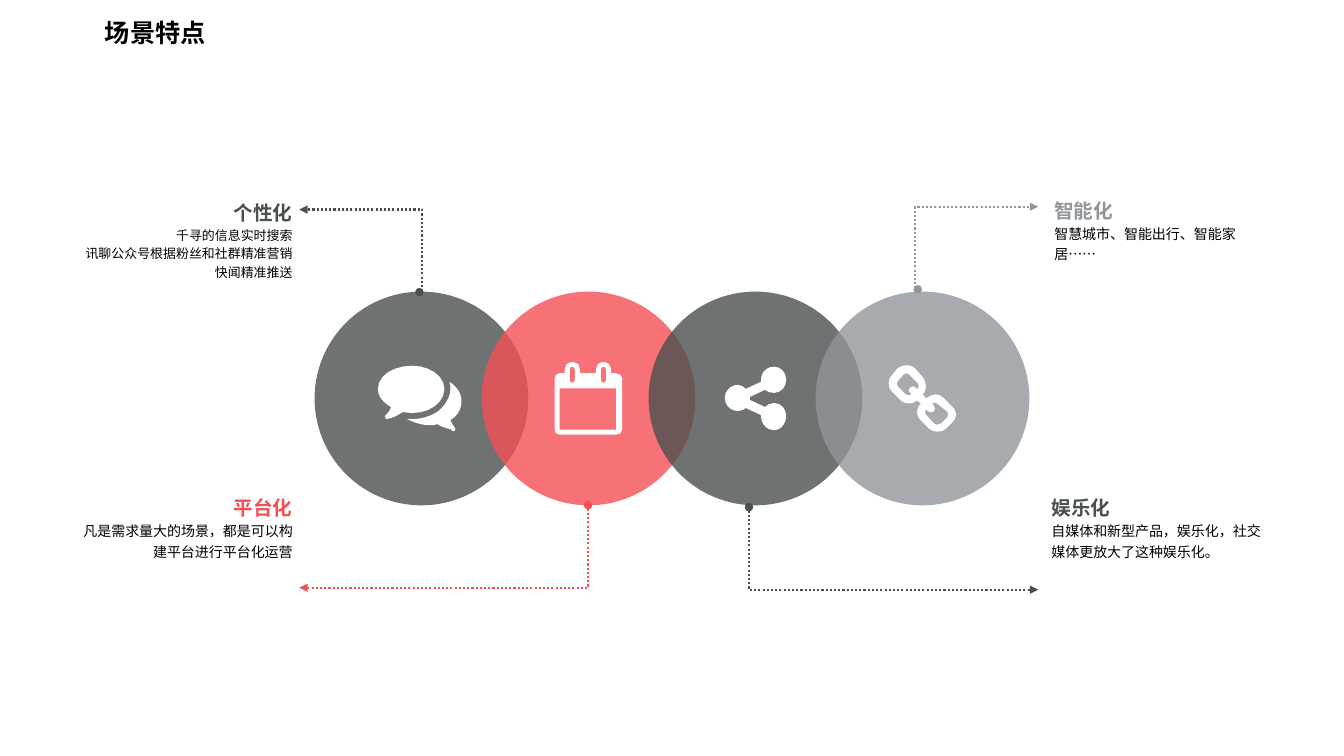
from math import dist

from lxml import etree
from pptx import Presentation
from pptx.dml.color import RGBColor
from pptx.enum.dml import MSO_LINE
from pptx.enum.shapes import MSO_CONNECTOR, MSO_SHAPE
from pptx.enum.text import MSO_ANCHOR as ANCHOR, MSO_AUTO_SIZE, PP_ALIGN as ALIGN
from pptx.oxml.ns import qn
from pptx.util import Pt

DIAMETER = 152.64
CIRCLE_LEFT, CIRCLE_TOP, CIRCLE_STEP = 224.7, 208.3, 119.3
TEXT_WIDTH, LABEL_HEIGHT, BODY_HEIGHT = 152.64, 17, 67.7
ELBOW_RISE = 59
ICON_UNIT = 0.72
DARK, RED, GREY = "4A4F4F", "F44F54", "91969B"

# Icon outlines: one string per contour; two numbers are a line, six a curve
CHAT = [
    "34 47, 30 47 28 46 25 46, 21 48 17 51 13 52, 8 53, 7 50, 9 47 12 46 13 41, "
    "6 37 0 31 0 23, 0 10 15 0 34 0, 51 0 66 10 66 23, 66 37 51 47 34 47",
    "72 54, 73 58 75 59 76 61, 77 63, 76 65, 75 65 73 65 72 63, 67 62 64 61 59 58, "
    "57 59 54 59 51 59, 43 59 35 56 29 53, 34 53, 43 53 53 50 60 45, "
    "67 39 72 31 72 23, 72 21 72 18 71 16, 79 21 83 28 83 35, 83 43 79 50 72 54",
]
CALENDAR = [
    "67 67, 67 70 64 72 61 72, 5 72, 2 72 0 70 0 67, 0 16, 0 13 2 11 5 11, 10 11, "
    "10 7, 10 3 13 0 16 0, 19 0, 23 0 25 3 25 7, 25 11, 41 11, 41 7, "
    "41 3 44 0 47 0, 50 0, 53 0 56 3 56 7, 56 11, 61 11, 64 11 67 13 67 16",
    "61 67, 61 26, 5 26, 5 67",
    "20 7, 19 5, 16 5, 15 7, 15 18, 16 20, 19 20, 20 18",
    "51 7, 50 5, 47 5, 46 7, 46 18, 47 20, 50 20, 51 18",
]
SHARE = [
    "61 49, 61 56 56 63 49 63, 41 63 36 56 36 49, 36 48, 21 41, 19 43 16 44 13 44, "
    "6 44 0 38 0 31, 0 24 6 18 13 18, 16 18 19 20 21 22, 36 15, 36 13, "
    "36 6 41 0 49 0, 56 0 61 6 61 13, 61 20 56 26 49 26, 45 26 42 25 40 23, 25 30, "
    "25 33, 40 40, 42 38 45 36 49 36, 56 36 61 42 61 49",
]
LINK = [
    "63 57, 57 63, 55 65 52 66 48 66, 45 66 42 65 40 63, 32 55, 30 53 28 50 28 47, "
    "28 43 30 40 32 38, 28 35, 26 37 23 38 20 38, 17 38 14 37 12 35, 3 26, "
    "1 24 0 21 0 18, 0 15 1 11 4 9, 9 3, 12 1 15 0 18 0, 21 0 24 1 26 3, 34 12, "
    "36 15 37 18 37 21, 37 24 36 27 34 29, 37 33, 40 31 43 29 46 29, "
    "49 29 53 30 55 33, 63 41, 65 43 67 46 67 49, 67 52 65 55 63 57",
    "29 18, 20 9, 18 8, 15 9, 9 16, 8 18, 9 21, 17 29, 20 30, 23 29, "
    "22 28 20 27 20 25, 20 23 22 21 24 21, 26 21 27 22 28 24, 30 21, 29 18",
    "58 46, 48 38, 46 37, 43 38, 44 40 46 41 46 43, 46 45 44 47 42 47, "
    "40 47 39 45 37 44, 36 47, 37 49, 45 58, 48 59, 52 58, 58 52, 59 49, 58 46",
]

# Icon and its shift, colour, elbow start, end x and bend, text corner, size, texts
FEATURES = [
    (CHAT, -1.2, DARK, (74.9, 0.4), 213.8, -2300, (56.3, 143.3), 9.2, "个性化",
     ["千寻的信息实时搜索", "讯聊公众号根据粉丝和社群精准营销", "快闻精准推送"]),
    (CALENDAR, 0, RED, (76.1, 152.5), 213.8, 0, (56.3, 354.2), 10, "平台化",
     ["凡是需求量大的场景，都是可以构建平台进行平台化运营"]),
    (SHARE, 0, DARK, (71.7, 153.9), 741.6, 0, (751, 354.2), 10, "娱乐化",
     ["自媒体和新型产品，娱乐化，社交媒体更放大了这种娱乐化。"]),
    (LINK, 0, GREY, (73, -1.6), 741.6, -2300, (753.1, 141.8), 10, "智能化",
     ["智慧城市、智能出行、智能家居……"]),
]


def paint(fmt, color, alpha=None):
    fmt.solid()
    fmt.fore_color.rgb = RGBColor.from_string(color)
    if alpha:
        clr = fmt._xPr.find(".//" + qn("a:srgbClr"))
        etree.SubElement(clr, qn("a:alpha"), val=str(alpha * 1000))


def trace(contour):
    """Return the points of one contour; longer curves get more of them."""
    points = []
    for segment in contour.split(","):
        n = [float(v) for v in segment.split()]
        if len(n) == 2:
            points.append(tuple(n))
            continue
        start, c1, c2, end = points[-1], n[:2], n[2:4], n[4:]
        steps = max(2, min(6, round(dist(start, end) / 4)))
        for t in (i / steps for i in range(1, steps + 1)):
            u = 1 - t
            points.append(tuple(
                u**3 * a + 3 * u * u * t * b + 3 * u * t * t * c + t**3 * d
                for a, b, c, d in zip(start, c1, c2, end)))
    return points


def add_icon(slide, center_x, center_y, outline):
    contours = [[(x * Pt(ICON_UNIT), y * Pt(ICON_UNIT)) for x, y in trace(c)]
                for c in outline]
    width, height = (max(p[i] for c in contours for p in c) for i in (0, 1))
    builder = slide.shapes.build_freeform(*contours[0][0], scale=1.0)
    for i, points in enumerate(contours):
        if i:
            builder.move_to(*points[0])
        builder.add_line_segments(points[1:], close=True)
    sp = builder.convert_to_shape(int(Pt(center_x) - width / 2),
                                  int(Pt(center_y) - height / 2))
    sp.shadow.inherit = False
    paint(sp.fill, "FFFFFF")
    sp.line.fill.background()


def add_elbow(slide, x, y, end_x, end_y, color, bend):
    cxn = slide.shapes.add_connector(MSO_CONNECTOR.ELBOW, Pt(x), Pt(y), Pt(end_x), Pt(end_y))
    paint(cxn.line.fill, color)
    cxn.line.width = Pt(1.5)
    cxn.line.dash_style = MSO_LINE.ROUND_DOT
    props = cxn._element.spPr
    ln = props.find(qn("a:ln"))
    etree.SubElement(ln, qn("a:headEnd"), type="oval")
    etree.SubElement(ln, qn("a:tailEnd"), type="triangle")
    etree.SubElement(props, qn("a:effectLst"))
    guides = props.find(qn("a:prstGeom")).get_or_add_avLst()
    etree.SubElement(guides, qn("a:gd"), name="adj1", fmla=f"val {bend}")


def add_text(slide, x, y, height, lines, size, color, align, spacing=1.0, bold=False):
    tf = slide.shapes.add_textbox(Pt(x), Pt(y), Pt(TEXT_WIDTH), Pt(height)).text_frame
    tf.word_wrap = True
    tf.margin_left = tf.margin_right = tf.margin_top = tf.margin_bottom = 0
    tf.vertical_anchor = ANCHOR.MIDDLE if bold else ANCHOR.TOP
    tf.text = "\n".join(lines)
    for p in tf.paragraphs:
        p.alignment, p.line_spacing = align, spacing
        p.font.name, p.font.size, p.font.bold = "Arial", Pt(size), bold
        paint(p.font.fill, color)


def add_feature(slide, left, top, feature):
    (icon, icon_shift, color, (dx, dy), end_x, bend,
     (text_x, text_y), size, label, lines) = feature
    # Circle
    sp = slide.shapes.add_shape(MSO_SHAPE.OVAL, Pt(left), Pt(top), Pt(DIAMETER), Pt(DIAMETER))
    sp.shadow.inherit = False
    paint(sp.fill, color, alpha=80)
    sp.line.fill.background()
    # Dotted elbow, away from the circle
    rise = -ELBOW_RISE if dy < DIAMETER / 2 else ELBOW_RISE
    add_elbow(slide, left + dx, top + dy, end_x, top + dy + rise, color, bend)
    # Label and description
    align = ALIGN.RIGHT if text_x < left else ALIGN.LEFT
    add_text(slide, text_x, text_y + LABEL_HEIGHT, BODY_HEIGHT, lines, size,
             "000000", align, spacing=1.2)
    add_text(slide, text_x, text_y, LABEL_HEIGHT, [label], 14, color, align, bold=True)
    # Icon
    add_icon(slide, left + DIAMETER / 2 + icon_shift, top + DIAMETER / 2, icon)


def add_title(slide, x, y, width, height, text):
    title = slide.shapes.title
    title.left, title.top, title.width, title.height = Pt(x), Pt(y), Pt(width), Pt(height)
    tf = title.text_frame
    tf.text = text
    tf.word_wrap = True
    tf.auto_size = MSO_AUTO_SIZE.NONE
    tf.vertical_anchor = ANCHOR.TOP
    p = tf.paragraphs[0]
    p.alignment, p.line_spacing = ALIGN.LEFT, 1.3
    p.font.name, p.font.size, p.font.bold = "Noto Sans CJK SC", Pt(18), True
    paint(p.font.fill, "000000")


def main():
    prs = Presentation()
    prs.slide_width, prs.slide_height = Pt(960), Pt(540)
    slide = prs.slides.add_slide(prs.slide_layouts[5])
    add_title(slide, 67.7, 2.2, 256.3, 35.3, "场景特点")
    for i, feature in enumerate(FEATURES):
        add_feature(slide, CIRCLE_LEFT + i * CIRCLE_STEP, CIRCLE_TOP, feature)
    prs.save("out.pptx")


if __name__ == "__main__":
    main()
